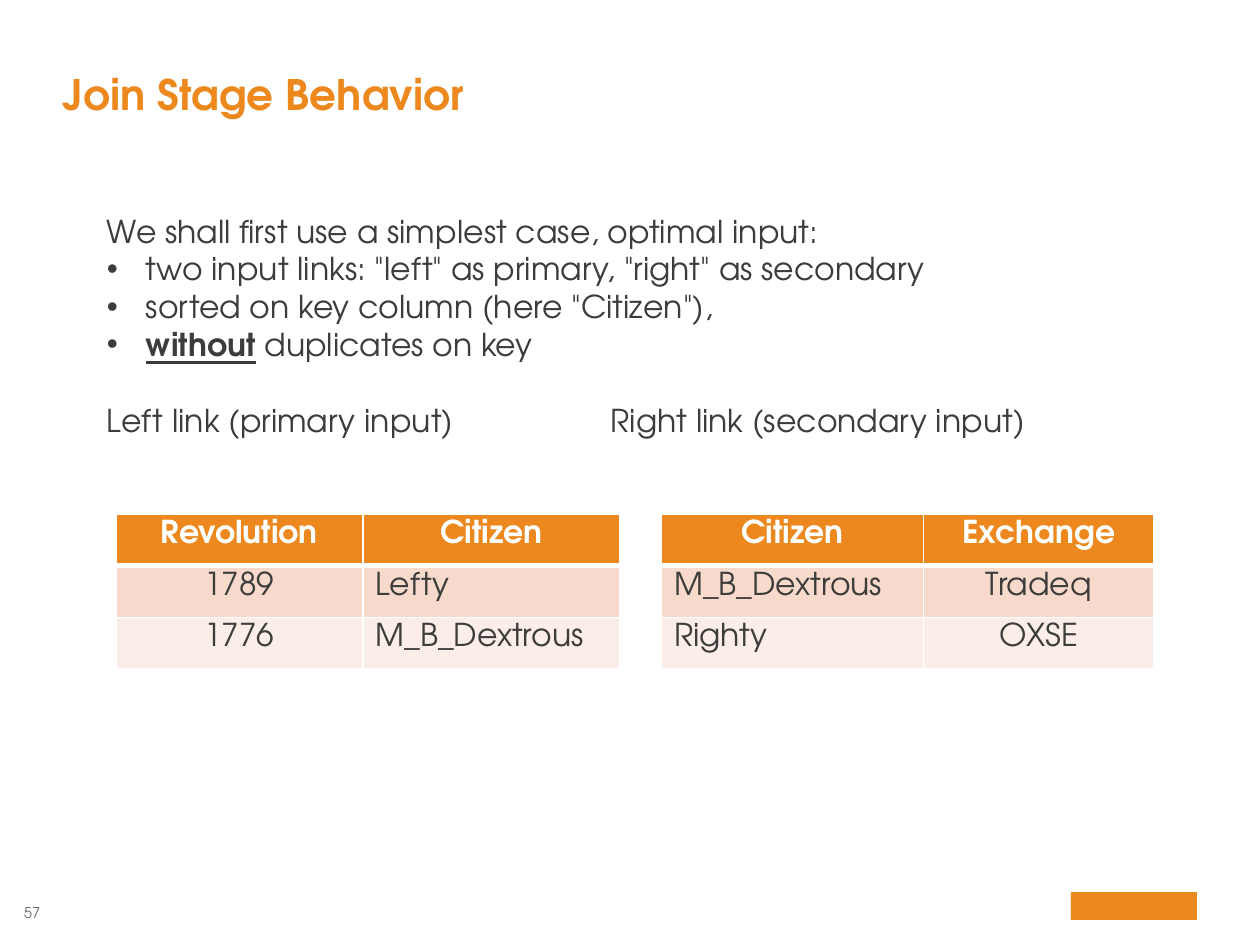
from lxml.etree import SubElement
from pptx import Presentation
from pptx.dml.color import RGBColor
from pptx.enum.shapes import MSO_SHAPE
from pptx.enum.text import MSO_ANCHOR, PP_ALIGN
from pptx.oxml.ns import qn
from pptx.util import Inches, Pt

FONT = "TeX Gyre Adventor"
COLORS = {
    "brand": "EC881D",
    "text": "3C3C3B",
    "number": "6C6C6C",
    "white": "FFFFFF",
    "odd": "F8DACD",
    "even": "FBEDE8",
}
ROW = 0.41


def color(name):
    return RGBColor.from_string(COLORS[name])


def add_run(para, text, size=18, tone="text", bold=False, line=False):
    run = para.add_run()
    run.text = text
    font = run.font
    font.name, font.size = FONT, Pt(size)
    font.bold, font.underline = bold, line
    font.color.rgb = color(tone)


def add_box(slide, left, top, width, height, inset=(0, 0, 0, 0)):
    box = slide.shapes.add_textbox(
        Inches(left), Inches(top), Inches(width), Inches(height))
    frame = box.text_frame
    frame.word_wrap = True
    (frame.margin_left, frame.margin_top,
     frame.margin_right, frame.margin_bottom) = map(Inches, inset)
    return frame


def add_bullet(para):
    props = para._p.get_or_add_pPr()
    props.set("marL", str(Inches(0.31)))
    props.set("indent", str(-Inches(0.31)))
    SubElement(props, qn("a:buFont"), typeface="Arial")
    SubElement(props, qn("a:buChar"), char="•")


def add_tab(para, pos):
    tabs = SubElement(para._p.get_or_add_pPr(), qn("a:tabLst"))
    SubElement(tabs, qn("a:tab"), pos=str(Inches(pos)), algn="l")


def add_title(slide, text):
    frame = add_box(slide, 0.5, 0.18, 9, 0.77)
    frame.vertical_anchor = MSO_ANCHOR.BOTTOM
    para = frame.paragraphs[0]
    para.line_spacing = 0.95
    add_run(para, text, 24, "brand", True)


def add_body(slide):
    frame = add_box(slide, 0.75, 1.33, 8.75, 2.52, (0.1, 0.35, 0.1, 0.05))
    add_run(frame.paragraphs[0],
            "We shall first use a simplest case, optimal input:")
    points = [
        [('two input links: "left" as primary, "right" as secondary', False)],
        [('sorted on key column (here "Citizen"),', False)],
        [("without", True), (" duplicates on key", False)],
    ]
    for point in points:
        para = frame.add_paragraph()
        add_bullet(para)
        for text, strong in point:
            add_run(para, text, bold=strong, line=strong)
    para = frame.add_paragraph()
    para.space_before = Pt(21.6)
    add_tab(para, 4)
    add_run(para, "Left link (primary input)\tRight link (secondary input)")


def set_edges(cell, row):
    props = cell._tc.get_or_add_tcPr()
    thick = {0: "lnB", 1: "lnT"}.get(row)
    for side in ("lnL", "lnR", "lnT", "lnB"):
        width = Pt(3 if side == thick else 1)
        edge = SubElement(props, qn(f"a:{side}"), w=str(width))
        fill = SubElement(edge, qn("a:solidFill"))
        SubElement(fill, qn("a:srgbClr"), val=COLORS["white"])


def add_grid(slide, left, widths, rows, center):
    table = slide.shapes.add_table(
        len(rows), len(widths), Inches(left), Inches(4.08),
        Inches(sum(widths)), Inches(ROW * len(rows))).table
    for col, width in zip(table.columns, widths):
        col.width = Inches(width)
    for r, (row, fill) in enumerate(zip(rows, ("brand", "odd", "even"))):
        table.rows[r].height = Inches(ROW)
        head = r == 0
        for c, text in enumerate(row):
            cell = table.cell(r, c)
            set_edges(cell, r)
            cell.fill.solid()
            cell.fill.fore_color.rgb = color(fill)
            para = cell.text_frame.paragraphs[0]
            mid = head or c == center
            para.alignment = PP_ALIGN.CENTER if mid else PP_ALIGN.LEFT
            add_run(para, text, tone="white" if head else "text", bold=head)


def add_footer(slide):
    para = add_box(slide, 0.07, 7.17, 0.25, 0.14).paragraphs[0]
    para.alignment = PP_ALIGN.RIGHT
    add_run(para, "57", 8.5, "number")
    mark = slide.shapes.add_shape(
        MSO_SHAPE.RECTANGLE, Inches(8.5), Inches(7.08),
        Inches(1), Inches(0.22))
    mark.shadow.inherit = False
    mark.fill.solid()
    mark.fill.fore_color.rgb = color("brand")
    mark.line.fill.background()


def main():
    deck = Presentation()
    deck.slide_width, deck.slide_height = Inches(10), Inches(7.5)
    slide = deck.slides.add_slide(deck.slide_layouts[6])
    add_footer(slide)
    add_title(slide, "Join Stage Behavior")
    add_body(slide)
    add_grid(slide, 0.92, (1.96, 2.04), [
        ("Revolution", "Citizen"),
        ("1789", "Lefty"),
        ("1776", "M_B_Dextrous"),
    ], center=0)
    add_grid(slide, 5.25, (2.08, 1.83), [
        ("Citizen", "Exchange"),
        ("M_B_Dextrous", "Tradeq"),
        ("Righty", "OXSE"),
    ], center=1)
    deck.save("out.pptx")


if __name__ == "__main__":
    main()
